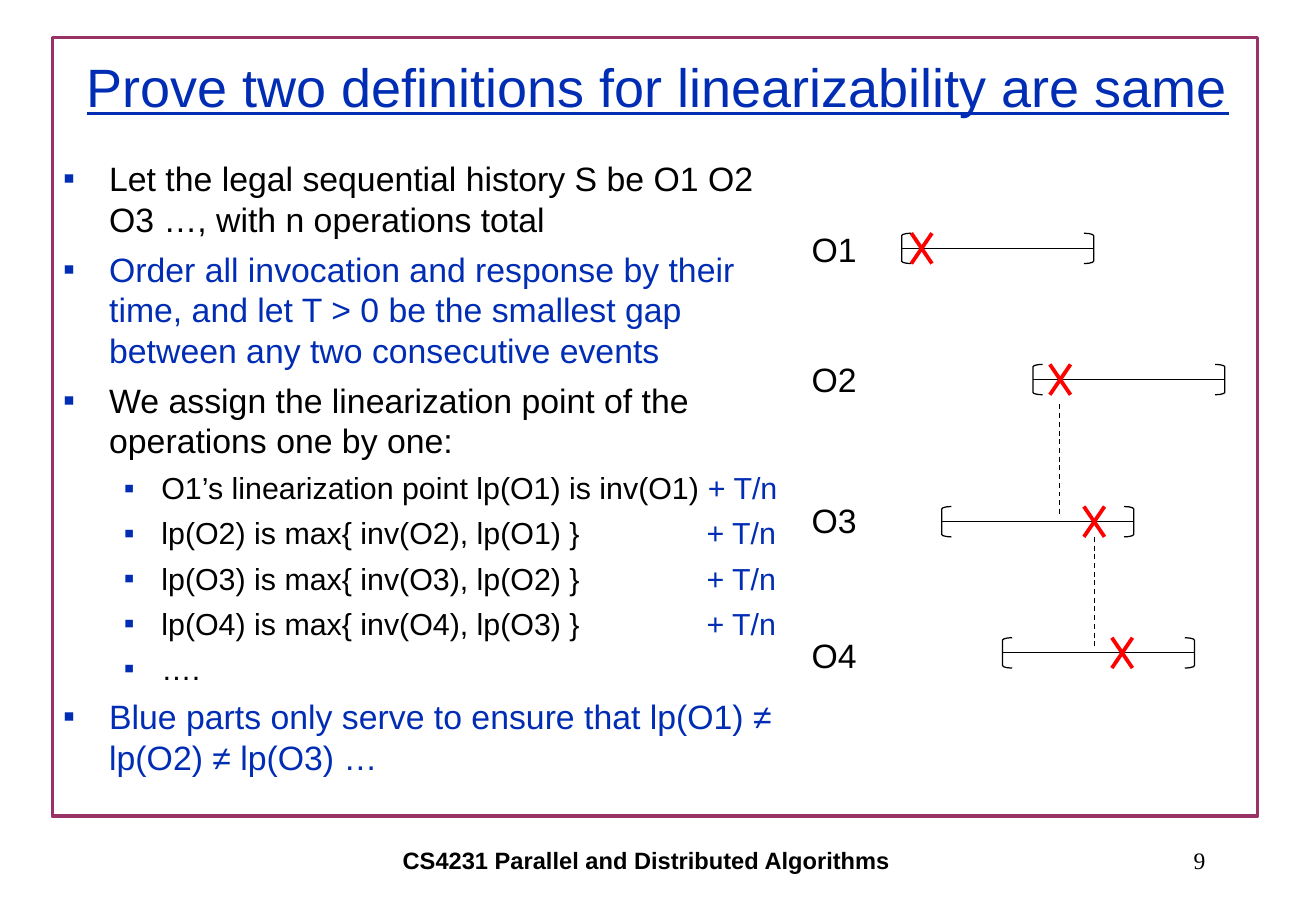
from typing import NamedTuple

import pptx
import pptx.dml.color
import pptx.enum.dml
import pptx.enum.shapes
import pptx.enum.text
import pptx.oxml
import pptx.oxml.ns
import pptx.util
from pptx.util import Inches

RGBColor = pptx.dml.color.RGBColor
Shape = pptx.enum.shapes.MSO_SHAPE
Align = pptx.enum.text.PP_ALIGN
Anchor = pptx.enum.text.MSO_ANCHOR

BLUE = RGBColor(0x00, 0x2D, 0xB4)
BLACK = RGBColor(0x00, 0x00, 0x00)
RED = RGBColor(0xFF, 0x00, 0x00)
PLUM = RGBColor(0x99, 0x33, 0x66)

BRACKET_WIDTH, BRACKET_HEIGHT = 0.08, 0.25
INTERVAL_WIDTH = 1.58
CROSS_WIDTH = 0.17
OFFSET_GAP = 70  # points between a formula and its "+ T/n"


class Bullet(NamedTuple):
    text: str
    color: RGBColor = BLACK
    level: int = 0
    offset: str = ""
    gap: int = 0


class Level(NamedTuple):
    size: int
    left: float
    hanging: float
    line: float
    before: float


class Operation(NamedTuple):
    name: str
    label_top: float
    top: float
    start: float
    cross: float


class Link(NamedTuple):
    x: float
    top: float
    bottom: float


LEVELS = [Level(20, 0.38, 0.38, 24, 5.7), Level(18, 0.81, 0.31, 21.6, 5.2)]

BULLETS = [
    Bullet("Let the legal sequential history S be O1 O2 O3 …, with n operations total"),
    Bullet("Order all invocation and response by their time, and let T > 0 be "
           "the smallest gap between any two consecutive events", BLUE),
    Bullet("We assign the linearization point of the operations one by one:"),
    Bullet("O1’s linearization point lp(O1) is inv(O1)", level=1, offset="+ T/n"),
    *[Bullet(f"lp(O{i}) is max{{ inv(O{i}), lp(O{i - 1}) }}", level=1,
             offset="+ T/n", gap=OFFSET_GAP) for i in (2, 3, 4)],
    Bullet("….", level=1),
    Bullet("Blue parts only serve to ensure that lp(O1) ≠ lp(O2) ≠ lp(O3) …", BLUE),
]

OPERATIONS = [
    Operation("O1", 1.83, 1.92, 7.42, 7.5),
    Operation("O2", 2.9, 3, 8.5, 8.64),
    Operation("O3", 4.06, 4.17, 7.75, 8.92),
    Operation("O4", 5.17, 5.25, 8.25, 9.15),
]

LINKS = [Link(8.72, 3.33, 4.25), Link(9.01, 4.42, 5.33)]


def style(font, size: float, color: RGBColor, name: str = "Arial") -> None:
    font.name = name
    font.size = pptx.util.Pt(size)
    font.color.rgb = color


def add_text_box(page, left: float, top: float, width: float, height: float):
    box = page.shapes.add_textbox(Inches(left), Inches(top), Inches(width), Inches(height))
    box.text_frame.word_wrap = True
    return box.text_frame


def add_label(page, text: str, left: float, top: float, width: float, height: float,
              size: int, name: str = "Arial", align=Align.LEFT, bold: bool = False) -> None:
    frame = add_text_box(page, left, top, width, height)
    frame.text = text
    frame.vertical_anchor = Anchor.MIDDLE
    para = frame.paragraphs[0]
    para.alignment = align
    style(para.runs[0].font, size, BLACK, name)
    para.runs[0].font.bold = bold


def add_line(shapes, x1: float, y1: float, x2: float, y2: float,
             color: RGBColor = BLACK, width: float = 0.75):
    line = shapes.add_connector(pptx.enum.shapes.MSO_CONNECTOR.STRAIGHT,
                                Inches(x1), Inches(y1), Inches(x2), Inches(y2))
    line.line.color.rgb = color
    line.line.width = pptx.util.Pt(width)
    effects = pptx.oxml.parse_xml(f"<a:effectLst {pptx.oxml.ns.nsdecls('a')}/>")
    line._element.spPr.append(effects)
    return line


def add_outline(shapes, kind, left: float, top: float, width: float, height: float,
                color: RGBColor, line_width: float):
    shape = shapes.add_shape(kind, Inches(left), Inches(top), Inches(width), Inches(height))
    shape.shadow.inherit = False
    shape.fill.background()
    shape.line.color.rgb = color
    shape.line.width = pptx.util.Pt(line_width)
    return shape


def set_bullet(para, level: Level) -> None:
    properties = para._p.get_or_add_pPr()
    properties.set("marL", str(Inches(level.left)))
    properties.set("indent", str(-Inches(level.hanging)))
    namespace = pptx.oxml.ns.nsdecls("a")
    for xml in (f'<a:buClr {namespace}><a:srgbClr val="{BLUE}"/></a:buClr>',
                f'<a:buFont {namespace} typeface="Arial"/>',
                f'<a:buChar {namespace} char="▪"/>'):
        properties.append(pptx.oxml.parse_xml(xml))


def add_bullet(para, bullet: Bullet, first: bool) -> None:
    level = LEVELS[bullet.level]
    para.level = bullet.level
    para.line_spacing = pptx.util.Pt(level.line)
    para.space_before = pptx.util.Pt(0 if first else level.before)
    set_bullet(para, level)
    parts = [(bullet.text, bullet.color, 0)]
    if bullet.offset:
        parts += [(" ", BLACK, bullet.gap), (bullet.offset, BLUE, 0)]
    for text, color, spacing in parts:
        span = para.add_run()
        span.text = text
        style(span.font, level.size, color)
        if spacing:
            span._r.get_or_add_rPr().set("spc", str(spacing * 100))


def add_operation(page, operation: Operation) -> None:
    add_label(page, operation.name, 6.58, operation.label_top, 0.65, 0.44, 20)
    start, top = operation.start, operation.top
    end, bottom = start + INTERVAL_WIDTH, top + BRACKET_HEIGHT
    middle = top + BRACKET_HEIGHT / 2

    interval = page.shapes.add_group_shape().shapes
    for kind, left in ((Shape.LEFT_BRACKET, start),
                       (Shape.RIGHT_BRACKET, end - BRACKET_WIDTH)):
        bracket = add_outline(interval, kind, left, top, BRACKET_WIDTH, BRACKET_HEIGHT,
                              BLACK, 0.75)
        bracket.adjustments[0] = 0.25
    add_line(interval, start, middle, end, middle)

    cross = page.shapes.add_group_shape().shapes
    left, right = operation.cross, operation.cross + CROSS_WIDTH
    add_line(cross, left, bottom, right, top, RED, 2.25)
    add_line(cross, right, bottom, left, top, RED, 2.25)


deck = pptx.Presentation()
deck.slide_width, deck.slide_height = Inches(10.83), Inches(7.5)
page = deck.slides.add_slide(deck.slide_layouts[5])

# Frame and footer
add_outline(page.shapes, Shape.RECTANGLE, 0.43, 0.31, 9.92, 6.41, PLUM, 2)
add_label(page, "CS4231 Parallel and Distributed Algorithms", 1.53, 6.83, 7.58, 0.5, 14,
          align=Align.CENTER, bold=True)
add_label(page, "9", 7.76, 6.83, 2.26, 0.5, 14, "Times New Roman", Align.RIGHT)

# Title
title = page.shapes.title
title.left, title.top = Inches(0), Inches(0.25)
title.width, title.height = Inches(10.83), Inches(0.92)
title.text_frame.text = "Prove two definitions for linearizability are same"
title.text_frame.auto_size = pptx.enum.text.MSO_AUTO_SIZE.NONE
title.text_frame.vertical_anchor = Anchor.MIDDLE
title.text_frame.paragraphs[0].alignment = Align.CENTER
title_font = title.text_frame.paragraphs[0].runs[0].font
style(title_font, 32, BLUE)
title_font.underline = True

# Proof steps
body = add_text_box(page, 0.42, 1.25, 6.25, 5.17)
for index, bullet in enumerate(BULLETS):
    para = body.add_paragraph() if index else body.paragraphs[0]
    add_bullet(para, bullet, index == 0)

# Timeline of operations with their linearization points
for operation in OPERATIONS:
    add_operation(page, operation)
for link in LINKS:
    dashed = add_line(page.shapes, link.x, link.top, link.x, link.bottom)
    dashed.line.dash_style = pptx.enum.dml.MSO_LINE.DASH

deck.save("out.pptx")
